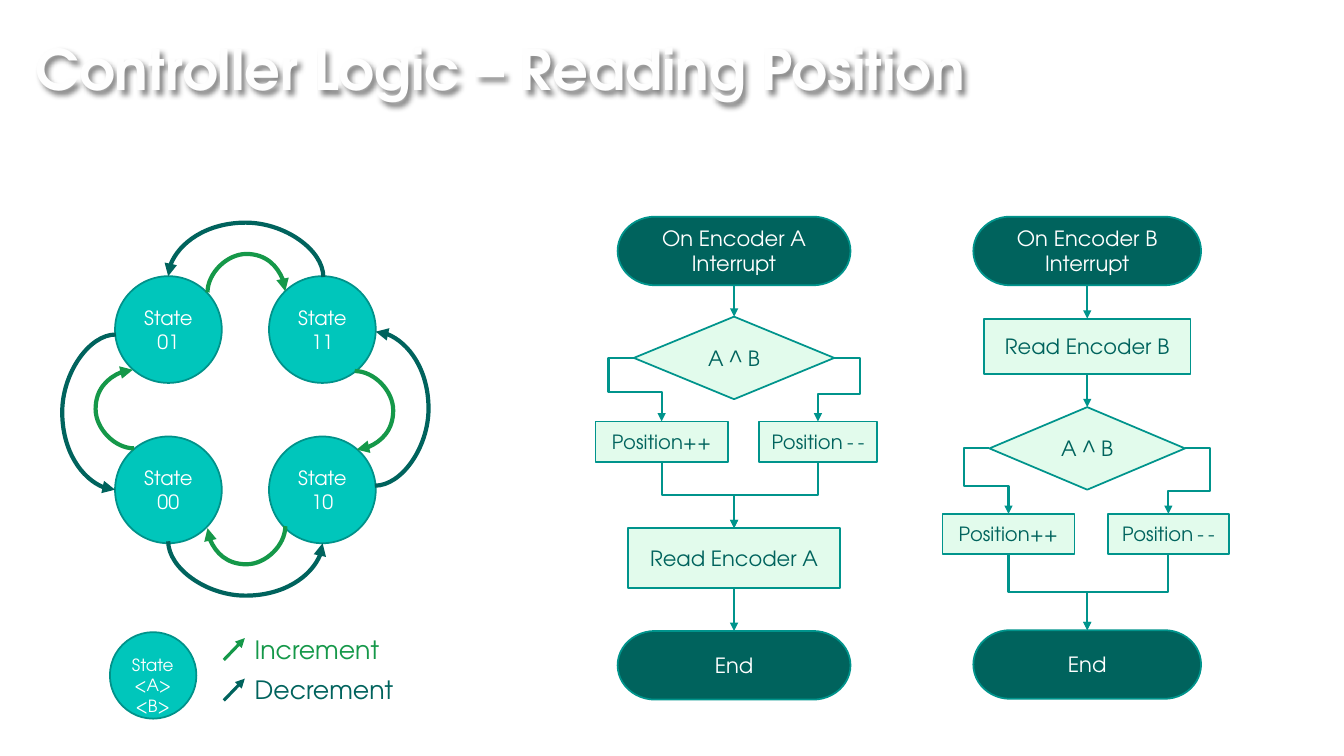
from lxml import etree
from pptx import Presentation
from pptx.dml.color import RGBColor
from pptx.enum.shapes import MSO_CONNECTOR, MSO_SHAPE
from pptx.enum.text import MSO_ANCHOR, MSO_AUTO_SIZE, PP_ALIGN
from pptx.oxml.ns import qn
from pptx.util import Cm, Pt

FONT = "TeX Gyre Adventor"
WHITE = RGBColor(0xFF, 0xFF, 0xFF)
TITLE_WHITE = RGBColor(0xFE, 0xFE, 0xFE)
BLACK = RGBColor(0, 0, 0)
TURQUOISE = RGBColor(0x00, 0xC6, 0xBB)
RIM = RGBColor(0x00, 0x92, 0x8A)
TEAL = RGBColor(0x00, 0x94, 0x8C)
DARK = RGBColor(0x00, 0x63, 0x5D)
MINT = RGBColor(0xE2, 0xFB, 0xEC)
GREEN = RGBColor(0x15, 0x98, 0x49)

OVAL = MSO_SHAPE.OVAL
TERMINATOR = MSO_SHAPE.FLOWCHART_TERMINATOR
DECISION = MSO_SHAPE.FLOWCHART_DECISION
PROCESS = MSO_SHAPE.FLOWCHART_PROCESS
STRAIGHT = MSO_CONNECTOR.STRAIGHT
ELBOW = MSO_CONNECTOR.ELBOW
CURVE = MSO_CONNECTOR.CURVE
CENTER = PP_ALIGN.CENTER
LEFT = PP_ALIGN.LEFT

# start, end, peak coordinate, leaves vertically
INCREMENT_ARCS = [
    ((5.23, 7.37), (7.19, 7.34), 6.4, True),
    ((8.94, 9.35), (8.99, 11.33), 9.91, False),
    ((7.19, 13.26), (5.23, 13.31), 14.22, True),
    ((3.38, 11.3), (3.35, 9.32), 2.41, False),
]
DECREMENT_ARCS = [
    ((8.15, 6.98), (4.24, 6.96), 5.61, True),
    ((9.45, 12.24), (9.47, 8.36), 10.8, False),
    ((4.24, 13.64), (8.13, 13.69), 15.01, True),
    ((2.92, 8.43), (2.9, 12.34), 1.57, False),
]


def edge(sp, side):
    """Return the middle of one side of a shape, in centimetres."""
    x, y, w, h = (v.cm for v in (sp.left, sp.top, sp.width, sp.height))
    return {"top": (x + w / 2, y), "bottom": (x + w / 2, y + h),
            "left": (x, y + h / 2), "right": (x + w, y + h / 2)}[side]


class SlideBuilder:
    """Holds the current slide and draws its elements, measured in centimetres."""

    def __init__(self, slide):
        self.slide = slide
        self.shapes = slide.shapes

    def format_text(self, tf, size, color, align, bold=False):
        tf.word_wrap = True
        for p in tf.paragraphs:
            p.alignment = align
            for r in p.runs:
                r.font.name = FONT
                r.font.size = Pt(size)
                r.font.bold = bold
                r.font.color.rgb = color

    def title(self, text, x, y, w, h):
        sp = self.shapes.title
        sp.left, sp.top, sp.width, sp.height = Cm(x), Cm(y), Cm(w), Cm(h)
        tf = sp.text_frame
        tf.text = text
        tf.auto_size = MSO_AUTO_SIZE.NONE
        tf.vertical_anchor = MSO_ANCHOR.BOTTOM
        self.format_text(tf, 40, TITLE_WHITE, LEFT, bold=True)
        sp.fill.background()
        effects = etree.SubElement(sp._element.spPr, qn("a:effectLst"))
        shadow = etree.SubElement(effects, qn("a:outerShdw"), blurRad="50800",
                                  dist="38100", dir="2700000", algn="tl")
        color = etree.SubElement(shadow, qn("a:srgbClr"), val=str(BLACK))
        etree.SubElement(color, qn("a:alpha"), val="48000")

    def text(self, text, x, y, w, h, size, color, align=LEFT):
        tf = self.shapes.add_textbox(Cm(x), Cm(y), Cm(w), Cm(h)).text_frame
        tf.text = text
        self.format_text(tf, size, color, align)

    def shape(self, kind, x, y, w, h, fill, line, text="", size=15, color=WHITE):
        sp = self.shapes.add_shape(kind, Cm(x), Cm(y), Cm(w), Cm(h))
        sp.shadow.inherit = False
        sp.fill.solid()
        sp.fill.fore_color.rgb = fill
        sp.line.color.rgb = line
        sp.line.width = Pt(1.25)
        sp.text_frame.text = text
        sp.text_frame.vertical_anchor = MSO_ANCHOR.MIDDLE
        self.format_text(sp.text_frame, size, color, CENTER)
        return sp

    def step(self, kind, x, y, w, h, text, size=15):
        """Draw a flowchart step."""
        fill, color = (DARK, WHITE) if kind == TERMINATOR else (MINT, DARK)
        return self.shape(kind, x, y, w, h, fill, TEAL, text, size, color)

    def arrow(self, start, end, color=TEAL, width=1.5, kind=STRAIGHT,
              upright=False, bends=()):
        """Draw an arrow; an upright one leaves its start vertically."""
        (x0, y0), (x1, y1) = start, end
        if upright:  # a quarter turn back, undone by the rotation below
            cx, cy, dx, dy = (x0 + x1) / 2, (y0 + y1) / 2, x1 - x0, y1 - y0
            x0, y0, x1, y1 = cx - dy / 2, cy + dx / 2, cx + dy / 2, cy - dx / 2
        c = self.shapes.add_connector(kind, Cm(x0), Cm(y0), Cm(x1), Cm(y1))
        c.line.color.rgb = color
        c.line.width = Pt(width)
        spPr = c._element.spPr
        if upright:
            spPr.find(qn("a:xfrm")).set("rot", "5400000")
        geom = spPr.find(qn("a:prstGeom"))
        if len(bends) == 2:
            geom.set("prst", "bentConnector4")
        for i, bend in enumerate(bends, 1):
            etree.SubElement(geom.find(qn("a:avLst")), qn("a:gd"), name=f"adj{i}",
                             fmla=f"val {round(bend * 100000)}")
        etree.SubElement(spPr.find(qn("a:ln")), qn("a:tailEnd"), type="triangle")
        etree.SubElement(spPr, qn("a:effectLst"))

    def arc(self, start, end, peak, upright, color):
        """Draw a curved arrow that swings out to the coordinate peak."""
        axis = 1 if upright else 0
        bend = (peak - start[axis]) / (end[axis] - start[axis])
        self.arrow(start, end, color, 3, CURVE, upright, (bend,))

    def branch(self, decision, side, target, turn_y):
        """Lead from a side of the decision, around its corner, to the target."""
        start, end = edge(decision, side), edge(target, "top")
        out = -0.64 if side == "left" else 0.64
        bends = (out / (end[0] - start[0]),
                 (turn_y - start[1]) / (end[1] - start[1]))
        self.arrow(start, end, kind=ELBOW, bends=bends)

    def flow(self, upper, lower):
        start, end = edge(upper, "bottom"), edge(lower, "top")
        if abs(start[0] - end[0]) < 0.1:
            self.arrow(start, end)
        else:
            self.arrow(start, end, kind=ELBOW, upright=True, bends=(0.5,))

    def flowchart(self, encoder, cx, term_w, end_y, read, decision, plus, minus,
                  turns, read_first):
        def centred(kind, y, w, h, text):
            return self.step(kind, cx - w / 2, y, w, h, text)

        begin = centred(TERMINATOR, 5.46, term_w, 1.73,
                        f"On Encoder {encoder} Interrupt")
        read = centred(PROCESS, *read, f"Read Encoder {encoder}")
        decision = centred(DECISION, *decision, "A ^ B")
        plus = self.step(PROCESS, *plus, "Position++", 14)
        minus = self.step(PROCESS, *minus, "Positio", 14)
        r = minus.text_frame.paragraphs[0].add_run()
        r.text = "n--"
        self.format_text(minus.text_frame, 14, DARK, CENTER)
        r.font._element.set("spc", "300")
        end = centred(TERMINATOR, end_y, term_w, 1.73, "End")

        self.branch(decision, "left", plus, turns[0])
        self.branch(decision, "right", minus, turns[1])
        if read_first:
            links = [(begin, read), (read, decision), (plus, end), (minus, end)]
        else:
            links = [(begin, decision), (plus, read), (minus, read), (read, end)]
        for upper, lower in links:
            self.flow(upper, lower)


def main():
    prs = Presentation()
    prs.slide_width, prs.slide_height = Cm(33.87), Cm(19.05)
    s = SlideBuilder(prs.slides.add_slide(prs.slide_layouts[5]))
    s.title("Controller Logic – Reading Position", 0.64, 0, 29.36, 2.69)

    for y, names in ((6.96, ("01", "11")), (11, ("00", "10"))):
        for x, name in zip((2.9, 6.78), names):
            s.shape(OVAL, x, y, 2.69, 2.69, TURQUOISE, RIM, f"State {name}", 14)
    for arcs, color in ((INCREMENT_ARCS, GREEN), (DECREMENT_ARCS, DARK)):
        for arc in arcs:
            s.arc(*arc, color)

    for y, name, color in ((15.85, "Increment", GREEN), (16.87, "Decrement", DARK)):
        s.text(name, 6.17, y, 4.75, 1.02, 18, color)
        s.arrow((5.64, y + 0.78), (6.17, y + 0.23), color, 2.25)
    s.shape(OVAL, 2.77, 15.93, 2.18, 2.18, TURQUOISE, RIM)
    s.text("State\n<A> <B>", 2.67, 16.38, 2.36, 2.13, 12, WHITE, CENTER)

    s.flowchart("A", 18.5, 5.87, 15.9, read=(13.31, 5.33, 1.5),
                decision=(7.98, 5.05, 2.08), plus=(15.01, 10.62, 3.33, 1.02),
                minus=(19.13, 10.62, 2.97, 1.02), turns=(9.88, 9.93),
                read_first=False)
    s.flowchart("B", 27.4, 5.74, 15.88, read=(8.03, 5.21, 1.4),
                decision=(10.26, 4.93, 2.08), plus=(23.75, 12.95, 3.33, 1.02),
                minus=(27.92, 12.95, 3.05, 1.02), turns=(12.24, 12.37),
                read_first=True)
    prs.save("out.pptx")


if __name__ == "__main__":
    main()
